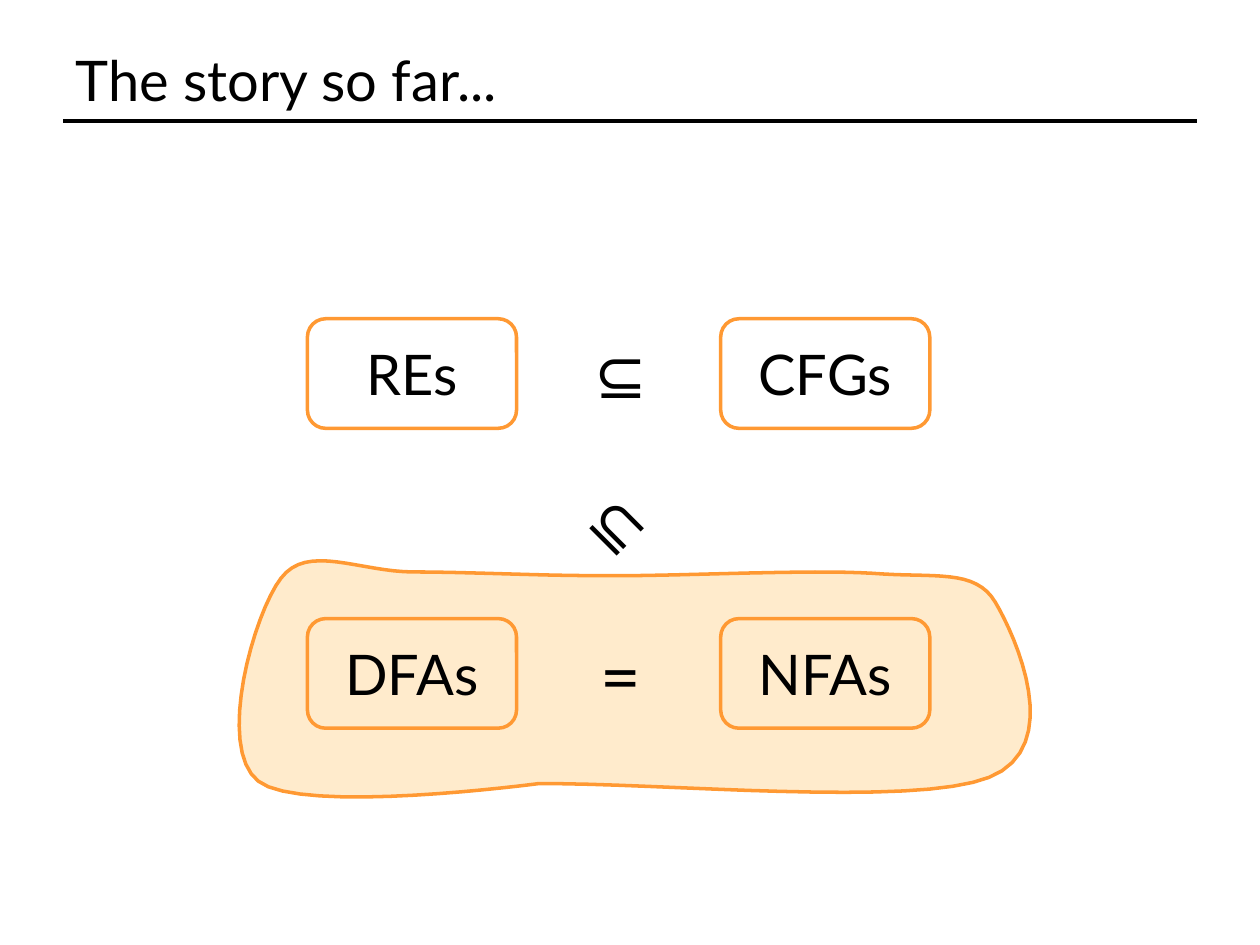
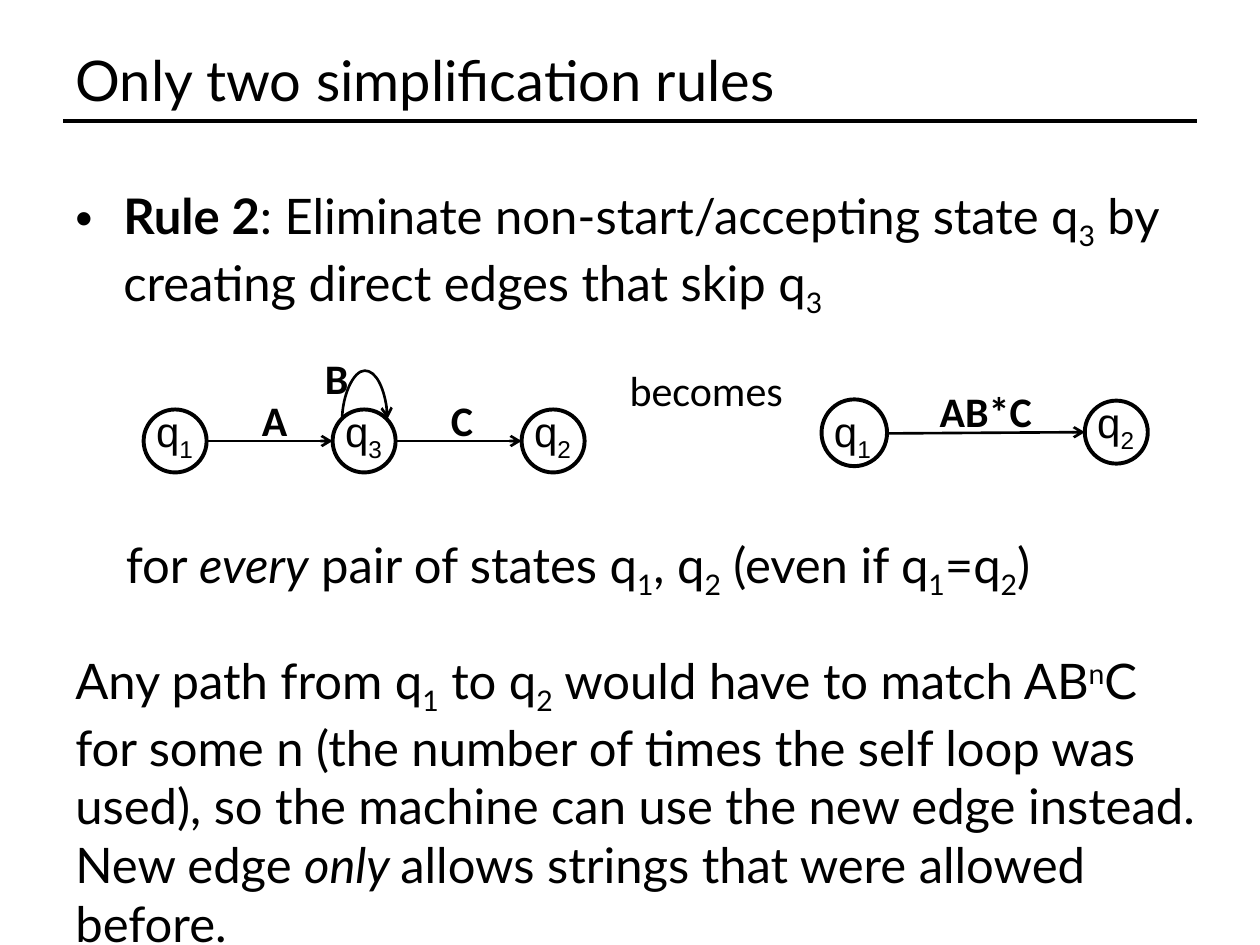
from lxml import etree
from pptx import Presentation
from pptx.dml.color import RGBColor
from pptx.enum.shapes import MSO_CONNECTOR, MSO_SHAPE
from pptx.enum.text import MSO_ANCHOR, MSO_AUTO_SIZE, PP_ALIGN
from pptx.oxml.ns import qn
from pptx.util import Pt

PX = 9144
BLACK = RGBColor(0x00, 0x00, 0x00)
ORANGE = RGBColor(0xFF, 0x99, 0x33)
PEACH = RGBColor(0xFF, 0xEB, 0xCC)

ROUNDED, OVAL = MSO_SHAPE.ROUNDED_RECTANGLE, MSO_SHAPE.OVAL
STRAIGHT, CURVE = MSO_CONNECTOR.STRAIGHT, MSO_CONNECTOR.CURVE
TOP, MIDDLE = MSO_ANCHOR.TOP, MSO_ANCHOR.MIDDLE
LEFT, CENTER = PP_ALIGN.LEFT, PP_ALIGN.CENTER
GROW, FIXED = MSO_AUTO_SIZE.SHAPE_TO_FIT_TEXT, MSO_AUTO_SIZE.NONE

HEADING = {"name": "Lato", "size": Pt(32)}
BODY = {"name": "Lato", "size": Pt(28)}
SYMBOL = {"name": "Calibri", "size": Pt(36)}
EQUALS = {"name": "Lato", "size": Pt(40)}
EDGE = {"name": "Calibri", "size": Pt(24), "bold": True}
STATE = {"name": "Arial", "size": Pt(24)}
CAPTION = {"name": "Calibri", "size": Pt(24)}

SUB, SUPER = -25000, 30000
BOLD, ITALIC = {"bold": True}, {"italic": True}

BLOB_START = (139, 9)
BLOB_CURVES = [
    ((95, 9), (54, -14), (33, 14)),
    ((12, 41), (-19, 148), (15, 175)),
    ((49, 202), (237, 177), (237, 177)),
    ((333, 176), (535, 196), (595, 172)),
    ((656, 148), (616, 60), (600, 33)),
    ((584, 6), (552, 14), (502, 10)),
    ((451, 7), (357, 12), (296, 12)),
    ((235, 12), (183, 9), (139, 9)),
]
CURVE_STEPS = 16

RULE_TEXT = [
    ("Rule 2", BOLD), ": Eliminate non-start/accepting state q", ("3", SUB),
    " by creating direct edges that skip q", ("3", SUB),
]
PAIR_TEXT = [
    "for ", ("every", ITALIC), " pair of states q", ("1", SUB), ", q", ("2", SUB),
    " (even if q", ("1", SUB), "=q", ("2", SUB), ")",
]
REASON_TEXT = [
    "Any path from q", ("1", SUB), " to q", ("2", SUB),
    " would have to match AB", ("n", SUPER),
    "C for some n (the number of times the self loop was used), so the machine "
    "can use the new edge instead. New edge ",
    ("only ", ITALIC), "allows strings that were allowed before.",
]


def emu(*lengths):
    """Turn px lengths into EMU."""
    return [round(length * PX) for length in lengths]


def apply(target, values):
    """Set each named attribute of the target."""
    for name, value in values.items():
        setattr(target, name, value)


def add_runs(paragraph, pieces, font):
    """Fill a paragraph with plain, styled and raised or lowered runs."""
    for piece in pieces:
        text, style = piece if isinstance(piece, tuple) else (piece, {})
        run = paragraph.add_run()
        run.text = text
        run.font.color.rgb = BLACK
        if isinstance(style, int):
            run.font._element.set("baseline", str(style))
            style = {}
        apply(run.font, {**font, **style})


def add_label(slide, box, pieces, font, align=LEFT, rotation=0):
    """Add a one-line text box that grows with its text."""
    label = slide.shapes.add_textbox(*emu(*box))
    label.rotation = rotation
    apply(label.text_frame, {"word_wrap": False, "auto_size": GROW})
    paragraph = label.text_frame.paragraphs[0]
    paragraph.alignment = align
    add_runs(paragraph, pieces, font)


def outline(shape, color, width):
    """Give a shape an unfilled, shadowless outline."""
    shape.shadow.inherit = False
    shape.fill.background()
    shape.line.color.rgb = color
    shape.line.width = Pt(width)


def add_line(slide, kind, start, end, width, arrow=True):
    """Add a black connector, with an open arrowhead if wanted."""
    line = slide.shapes.add_connector(kind, *emu(*start, *end))
    line.line.color.rgb = BLACK
    line.line.width = Pt(width)
    if arrow:
        etree.SubElement(line.line._get_or_add_ln(), qn("a:tailEnd"), type="arrow")
    etree.SubElement(line._element.spPr, qn("a:effectLst"))
    return line


def add_titled_slide(deck, title_text):
    """Add a slide with the shared title and the rule under it."""
    slide = deck.slides.add_slide(deck.slide_layouts[5])
    title = slide.shapes.title
    apply(title, dict(zip(("left", "top", "width", "height"), emu(50, 30, 900, 66))))
    apply(title.text_frame, {"vertical_anchor": MIDDLE, "auto_size": FIXED, "word_wrap": True})
    paragraph = title.text_frame.paragraphs[0]
    paragraph.alignment = LEFT
    add_runs(paragraph, [title_text], HEADING)
    add_line(slide, STRAIGHT, (50, 96), (950, 96), 2, arrow=False)
    return slide


def blob_points(left, top):
    """Return the points along the blob's Bézier curves in EMU."""
    start, points = BLOB_START, []
    for first, second, end in BLOB_CURVES:
        for step in range(1, CURVE_STEPS + 1):
            t = step / CURVE_STEPS
            weights = ((1 - t) ** 3, 3 * t * (1 - t) ** 2, 3 * t * t * (1 - t), t ** 3)
            x, y = (sum(w * p[axis] for w, p in zip(weights, (start, first, second, end)))
                    for axis in (0, 1))
            points.append(emu(left + x, top + y))
        start = end
    return points


def add_blob(slide, left, top):
    """Draw the shaded region around the finite automata."""
    points = blob_points(left, top)
    builder = slide.shapes.build_freeform(*points[-1], scale=1.0)
    builder.add_line_segments(points[:-1], close=True)
    blob = builder.convert_to_shape()
    outline(blob, ORANGE, 2)
    blob.fill.solid()
    blob.fill.fore_color.rgb = PEACH


def add_models(slide, left, top):
    """Place the grid of language models and the relations between them."""
    for row, models in enumerate((("REs", "CFGs"), ("DFAs", "NFAs"))):
        for column, model in enumerate(models):
            box = (left + 328 * column, top + 238 * row, 166, 87)
            card = slide.shapes.add_shape(ROUNDED, *emu(*box))
            outline(card, ORANGE, 2)
            card.text_frame.vertical_anchor = MIDDLE
            paragraph = card.text_frame.paragraphs[0]
            paragraph.alignment = CENTER
            add_runs(paragraph, [model], HEADING)
    add_label(slide, (left + 218, top + 8, 58, 71), ["⊆"], SYMBOL)
    add_label(slide, (left + 218, top + 127, 58, 71), ["⊆"], SYMBOL, rotation=45)
    add_label(slide, (left + 223, top + 244, 53, 77), ["="], EQUALS)


def add_body(slide, box):
    """Write the rule, its scope and the reason, leaving room for the diagrams."""
    body = slide.shapes.add_textbox(*emu(*box))
    apply(body.text_frame, {"word_wrap": True, "auto_size": FIXED, "vertical_anchor": TOP})
    paragraphs = (
        (RULE_TEXT, 0, 38, -38),
        (PAIR_TEXT, 123, 40, 0),
        (REASON_TEXT, 28, 0, 0),
    )
    for index, (pieces, gap, margin, indent) in enumerate(paragraphs):
        frame = body.text_frame
        paragraph = frame.add_paragraph() if index else frame.paragraphs[0]
        properties = paragraph._p.get_or_add_pPr()
        properties.set("marL", str(margin * PX))
        properties.set("indent", str(indent * PX))
        if indent:
            etree.SubElement(properties, qn("a:buFont"), typeface="Arial")
            etree.SubElement(properties, qn("a:buChar"), char="•")
        if gap:
            paragraph.space_before = Pt(gap)
        add_runs(paragraph, pieces, BODY)


def add_state(slide, left, top, number, size=(50, 50), label_rise=8):
    """Draw one automaton state with its numbered name."""
    add_label(slide, (left, top - label_rise, 51, 50), ["q", (number, SUB)], STATE)
    circle = slide.shapes.add_shape(OVAL, *emu(left, top, *size))
    outline(circle, BLACK, 2.25)


def add_self_loop(slide, left, top):
    """Draw the arrow that leaves a state and returns to it over the top."""
    loop = add_line(slide, CURVE, (left + 18, top + 36), (left + 17, top), 1.5)
    loop._element.spPr.find(qn("a:xfrm")).set("rot", str(90 * 60000))
    geometry = loop._element.spPr.find(qn("a:prstGeom"))
    guides = geometry.find(qn("a:avLst"))
    if guides is None:
        guides = etree.SubElement(geometry, qn("a:avLst"))
    etree.SubElement(guides, qn("a:gd"), name="adj1", fmla="val 4000000")


def add_machine_before(slide, left, top):
    """Draw the three-state machine with the self loop."""
    pitch, middle = 150, top + 75
    add_self_loop(slide, left + 158, top + 40)
    for index, (number, edge, width) in enumerate((("1", "A", 40), ("3", "C", 38), ("2", "", 0))):
        x = left + pitch * index
        if edge:
            add_line(slide, STRAIGHT, (x + 50, middle), (x + pitch, middle), 1.5)
            add_label(slide, (x + 84, top + 33, width, 51), [edge], EDGE)
        add_state(slide, x, top + 50, number)
    add_label(slide, (left + 134, top, 39, 51), ["B"], EDGE)


def add_machine_after(slide, left, top):
    """Draw the two-state machine with the combined edge."""
    add_label(slide, (left + 84, top, 94, 51), ["AB*C"], EDGE)
    add_line(slide, STRAIGHT, (left + 53, top + 43), (left + 209, top + 42), 1.5)
    add_state(slide, left, top + 16, "1", size=(52, 53), label_rise=0)
    add_state(slide, left + 209, top + 17, "2")


def build_story_slide(deck):
    """Build the overview of language models."""
    slide = add_titled_slide(deck, "The story so far...")
    add_blob(slide, 190, 445)
    add_models(slide, 244, 253)


def build_rule_slide(deck):
    """Build the slide on eliminating a state."""
    slide = add_titled_slide(deck, "Only two simplification rules")
    add_body(slide, (50, 142, 915, 558))
    add_machine_before(slide, 114, 275)
    add_machine_after(slide, 652, 301)
    add_label(slide, (489, 284, 143, 50), ["becomes"], CAPTION, align=CENTER)


def main():
    """Build and save the deck."""
    deck = Presentation()
    deck.slide_width, deck.slide_height = emu(1000, 750)
    build_story_slide(deck)
    build_rule_slide(deck)
    deck.save("out.pptx")


if __name__ == "__main__":
    main()
